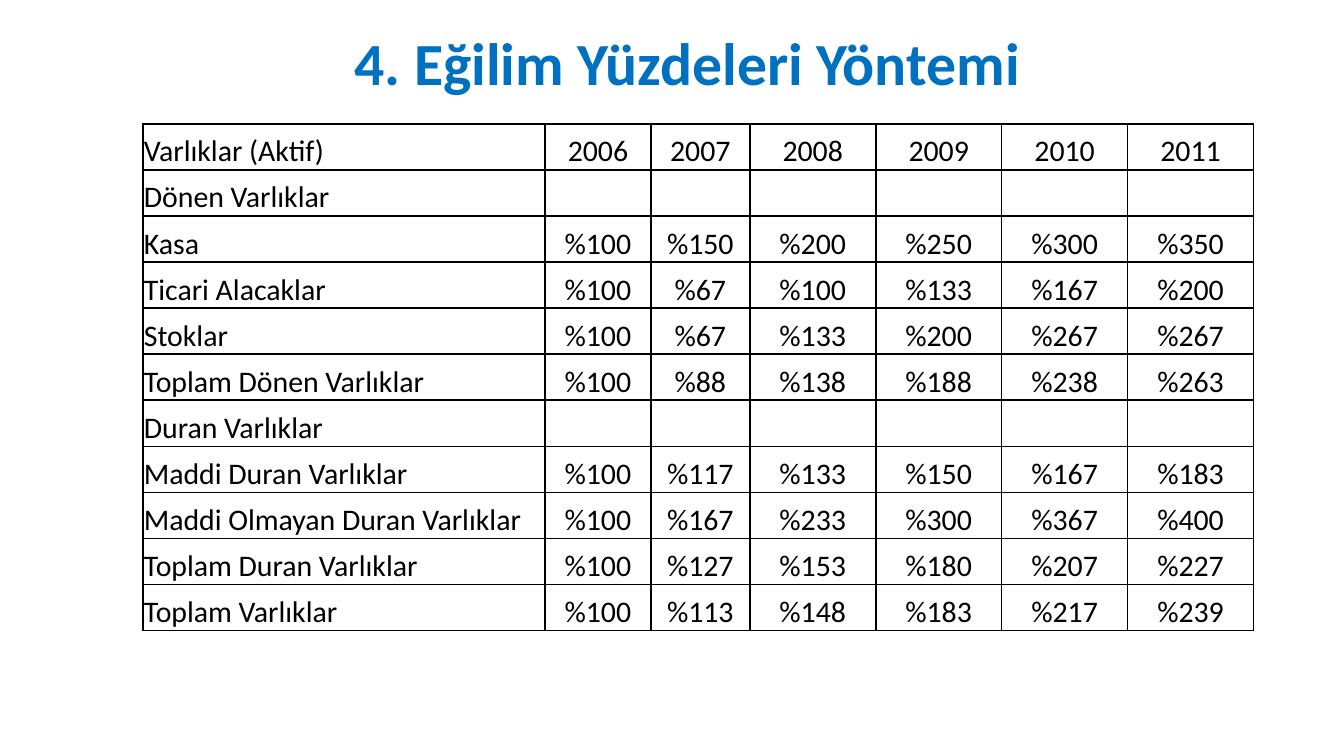
import lxml.etree
import pptx
import pptx.dml.color
import pptx.enum.text
import pptx.oxml.ns
import pptx.util

Cm = pptx.util.Cm
Pt = pptx.util.Pt
ALIGN = pptx.enum.text.PP_ALIGN
ANCHOR = pptx.enum.text.MSO_ANCHOR

COLORS = {"title": "0070C0", "text": "000000", "border": "000000"}
YEARS = ["2006", "2007", "2008", "2009", "2010", "2011"]
ASSETS = [
    ("Dönen Varlıklar", []),
    ("Kasa", [100, 150, 200, 250, 300, 350]),
    ("Ticari Alacaklar", [100, 67, 100, 133, 167, 200]),
    ("Stoklar", [100, 67, 133, 200, 267, 267]),
    ("Toplam Dönen Varlıklar", [100, 88, 138, 188, 238, 263]),
    ("Duran Varlıklar", []),
    ("Maddi Duran Varlıklar", [100, 117, 133, 150, 167, 183]),
    ("Maddi Olmayan Duran Varlıklar", [100, 167, 233, 300, 367, 400]),
    ("Toplam Duran Varlıklar", [100, 127, 153, 180, 207, 227]),
    ("Toplam Varlıklar", [100, 113, 148, 183, 217, 239]),
]
COLUMN_WIDTHS = [7.6, 2, 1.87] + [2.38] * 4
ROW_HEIGHT = 0.87


class SlideBuilder:
    def __init__(self, slide, font_name="Calibri"):
        self.slide = slide
        self.font_name = font_name

    def style(self, paragraph, size, color, bold=False):
        font = paragraph.font
        font.name = self.font_name
        font.size = Pt(size)
        font.bold = bold
        font.color.rgb = pptx.dml.color.RGBColor.from_string(COLORS[color])

    def title(self, text, left, top, width, height):
        frame = self.slide.shapes.add_textbox(
            Cm(left), Cm(top), Cm(width), Cm(height)
        ).text_frame
        frame.word_wrap = False
        frame.auto_size = pptx.enum.text.MSO_AUTO_SIZE.SHAPE_TO_FIT_TEXT
        frame.text = text
        self.style(frame.paragraphs[0], 32, "title", bold=True)

    def borders(self, cell):
        qn = pptx.oxml.ns.qn
        properties = cell._tc.get_or_add_tcPr()
        for side in ("a:lnL", "a:lnR", "a:lnT", "a:lnB"):
            line = lxml.etree.SubElement(properties, qn(side), w=str(Pt(1)))
            fill = lxml.etree.SubElement(line, qn("a:solidFill"))
            lxml.etree.SubElement(fill, qn("a:srgbClr"), val=COLORS["border"])

    def cell(self, cell, text, alignment):
        self.borders(cell)
        cell.fill.background()
        cell.vertical_anchor = ANCHOR.BOTTOM
        cell.margin_left = cell.margin_right = cell.margin_top = Cm(0.02)
        cell.margin_bottom = 0
        cell.text = text
        paragraph = cell.text_frame.paragraphs[0]
        paragraph.alignment = alignment
        self.style(paragraph, 16, "text")

    def table(self, rows, left, top):
        table = self.slide.shapes.add_table(
            len(rows), len(COLUMN_WIDTHS), Cm(left), Cm(top),
            Cm(sum(COLUMN_WIDTHS)), Cm(ROW_HEIGHT * len(rows)),
        ).table
        table.first_row = table.horz_banding = False
        for column, width in zip(table.columns, COLUMN_WIDTHS):
            column.width = Cm(width)
        for row, texts in zip(table.rows, rows):
            row.height = Cm(ROW_HEIGHT)
            for index, (cell, text) in enumerate(zip(row.cells, texts)):
                self.cell(cell, text, ALIGN.CENTER if index else ALIGN.LEFT)


def main():
    presentation = pptx.Presentation()
    presentation.slide_width = Cm(25.4)
    presentation.slide_height = Cm(14.28)
    slide = presentation.slides.add_slide(presentation.slide_layouts[6])
    builder = SlideBuilder(slide)
    rows = [["Varlıklar (Aktif)"] + YEARS]
    for name, values in ASSETS:
        percentages = [f"%{value}" for value in values] or [""] * len(YEARS)
        rows.append([name] + percentages)
    builder.table(rows, 2.7, 2.34)
    builder.title("4. Eğilim Yüzdeleri Yöntemi", 6.45, 0.36, 13.46, 1.63)
    presentation.save("out.pptx")


if __name__ == "__main__":
    main()
